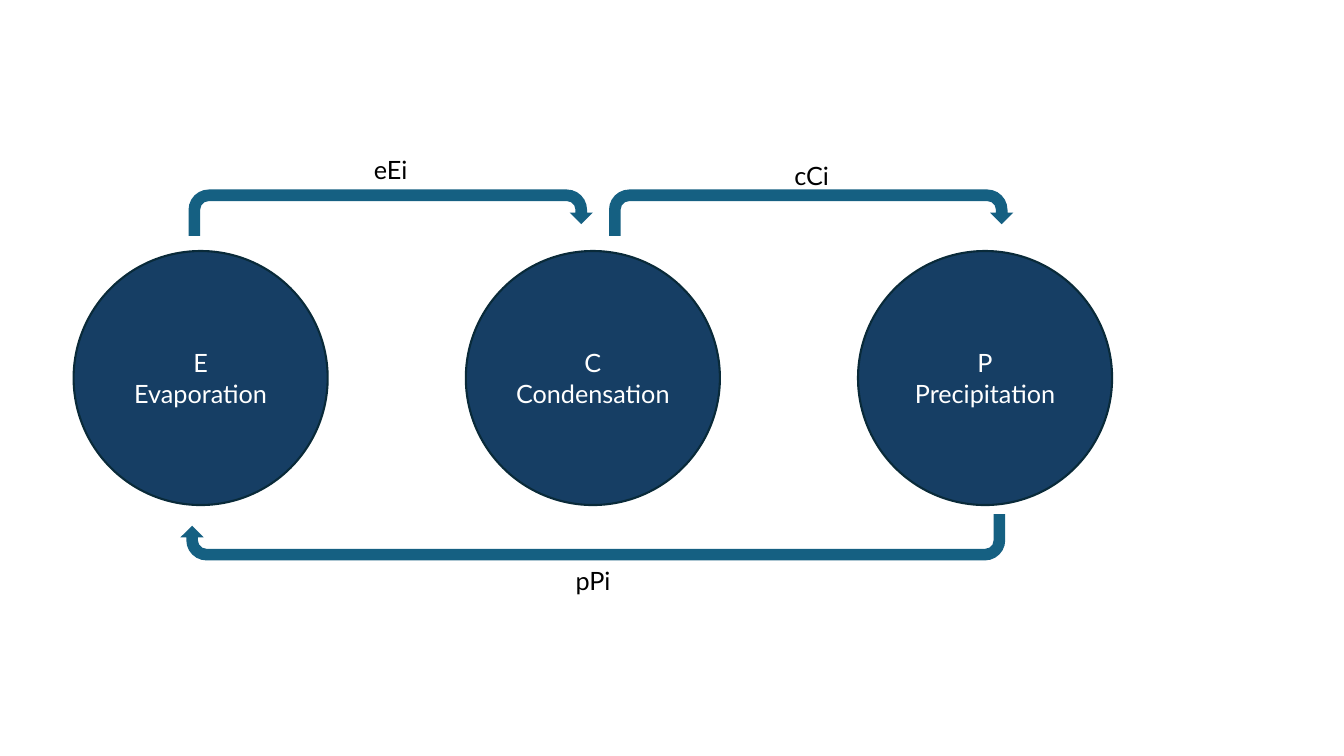
from pptx import Presentation
from pptx.dml.color import RGBColor
from pptx.enum.shapes import MSO_SHAPE
from pptx.enum.text import MSO_ANCHOR, MSO_AUTO_SIZE, PP_ALIGN
from pptx.util import Inches, Pt

ELLIPSE = MSO_SHAPE.OVAL
UTURN = MSO_SHAPE.U_TURN_ARROW
MIDDLE = MSO_ANCHOR.MIDDLE
CENTER = PP_ALIGN.CENTER
LEFT = PP_ALIGN.LEFT
GROW = MSO_AUTO_SIZE.SHAPE_TO_FIT_TEXT


class WaterCycleSlide:
    """Draws the stages and flows of the water cycle in one style."""

    colors = {"stage": "163E64", "outline": "092A39", "flow": "156082",
              "light": "FFFFFF", "dark": "000000"}
    font_name = "Lato"
    font_size = Pt(18)

    def __init__(self, deck):
        self.page = deck.slides.add_slide(deck.slide_layouts[6])

    def color(self, name):
        return RGBColor.from_string(self.colors[name])

    def set_lines(self, frame, lines, color, align):
        for index, line in enumerate(lines):
            para = frame.add_paragraph() if index else frame.paragraphs[0]
            para.text = line
            para.alignment = align
            para.font.name = self.font_name
            para.font.size = self.font_size
            para.font.color.rgb = self.color(color)

    def shape(self, kind, left, top, width, height, fill):
        shape = self.page.shapes.add_shape(
            kind, Inches(left), Inches(top), Inches(width), Inches(height))
        shape.shadow.inherit = False
        shape.fill.solid()
        shape.fill.fore_color.rgb = self.color(fill)
        return shape

    def stage(self, left, symbol, name):
        circle = self.shape(ELLIPSE, left, 2.49, 2.52, 2.52, "stage")
        circle.line.color.rgb = self.color("outline")
        circle.line.width = Pt(1.5)
        circle.text_frame.vertical_anchor = MIDDLE
        self.set_lines(circle.text_frame, [symbol, name], "light", CENTER)

    def flow(self, left, top, width, rotation=0):
        arrow = self.shape(UTURN, left, top, width, 0.46, "flow")
        arrow.line.fill.background()
        arrow.rotation = rotation

    def label(self, left, top, width, text):
        box = self.page.shapes.add_textbox(
            Inches(left), Inches(top), Inches(width), Inches(0.4))
        box.text_frame.word_wrap = False
        box.text_frame.auto_size = GROW
        self.set_lines(box.text_frame, [text], "dark", LEFT)


def main():
    deck = Presentation()
    deck.slide_width, deck.slide_height = Inches(13.33), Inches(7.5)
    cycle = WaterCycleSlide(deck)

    stages = [("E", "Evaporation"), ("C", "Condensation"), ("P", "Precipitation")]
    for index, (symbol, name) in enumerate(stages):
        cycle.stage(0.73 + 3.89 * index, symbol, name)

    for left in (1.87, 6.04):
        cycle.flow(left, 1.88, 4.01)
    cycle.flow(1.79, 5.1, 8.18, rotation=180)

    cycle.label(3.61, 1.48, 0.54, "eEi")
    cycle.label(5.61, 5.56, 0.55, "pPi")
    cycle.label(7.78, 1.54, 0.57, "cCi")

    deck.save("out.pptx")


if __name__ == "__main__":
    main()
